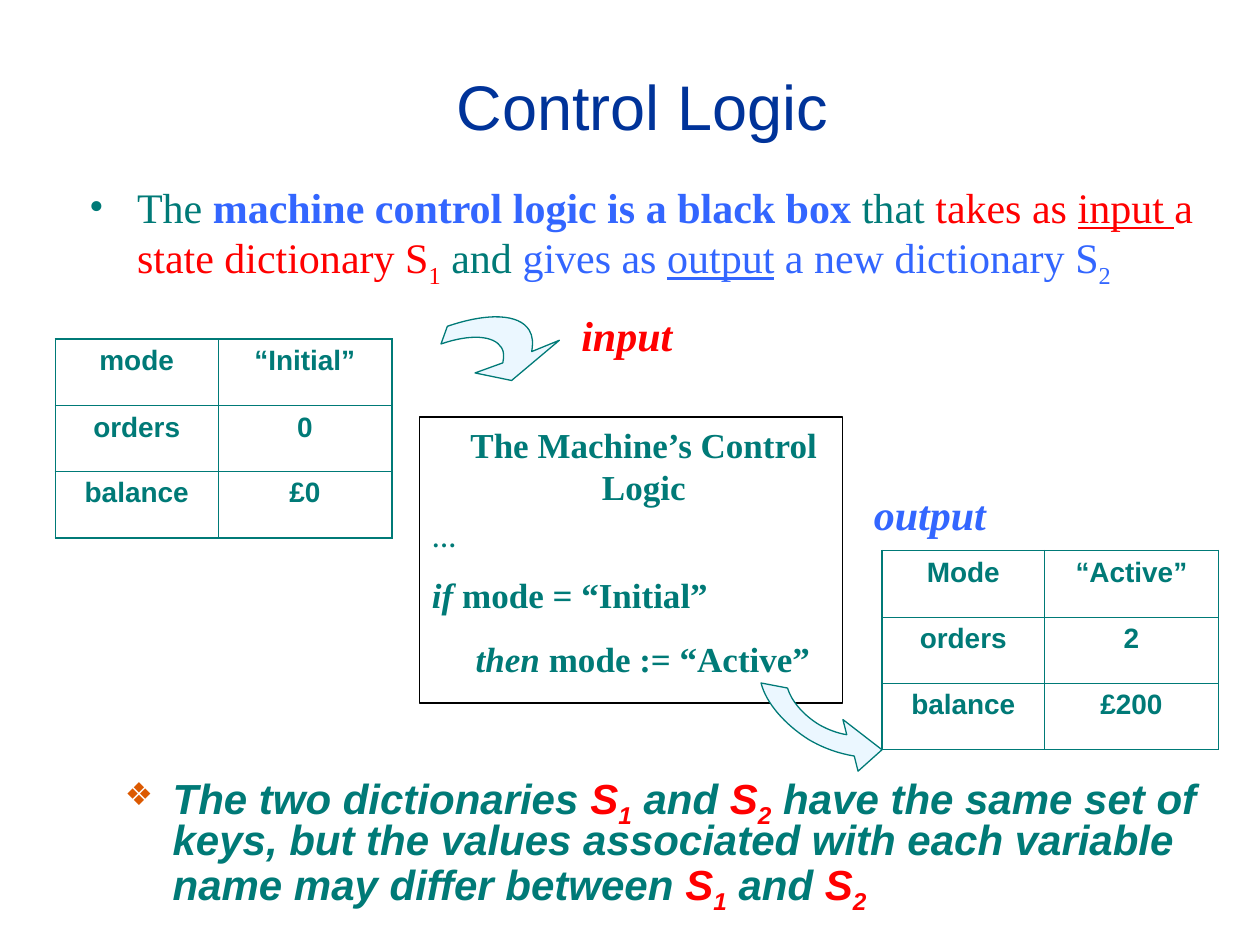
from math import cos, radians, sin
from lxml.etree import SubElement
from pptx import Presentation
from pptx.dml.color import RGBColor
from pptx.enum.shapes import MSO_SHAPE
from pptx.enum.text import MSO_ANCHOR, MSO_AUTO_SIZE, PP_ALIGN
from pptx.oxml.ns import qn
from pptx.util import Inches, Pt

COLORS = {"navy": "003399", "teal": "007A77", "red": "FF0000", "blue": "3366FF",
          "orange": "DC5900", "pale": "EBF7FF", "black": "000000", "white": "FFFFFF"}
SERIF, SANS = "Times New Roman", "Arial"

# Runs are (text, format); a format lists only what differs from the paragraph.
RED, BLUE = {"color": "red"}, {"color": "blue"}
SUB, LINE, ITALIC = {"sub": True}, {"underline": True}, {"italic": True}
S1 = [("S", RED), ("1", RED | SUB)]
S2 = [("S", RED), ("2", RED | SUB)]

INTRO = [("The", {}), (" machine control logic is a black box", BLUE | {"bold": True}),
         (" that ", {}), ("takes as ", RED), ("input ", RED | LINE),
         ("a state dictionary S", RED), ("1", RED | SUB), (" and ", {}),
         ("gives as ", BLUE), ("output", BLUE | LINE), (" a new dictionary S", BLUE),
         ("2", BLUE | SUB)]
SUMMARY = [("The two dictionaries ", {}), *S1, (" and ", {}), *S2,
           (" have the same set of keys, but the values associated with each "
            "variable name may differ between ", {}), *S1, (" and ", {}), *S2]
LOGIC = [  # runs, size, space before, alignment
    ([("The Machine’s Control Logic", {})], 20, 0, PP_ALIGN.CENTER),
    ([("…", {})], 14, 8.8, PP_ALIGN.LEFT),
    ([("if", ITALIC), (" mode = “Initial”", {})], 20, 12.5, PP_ALIGN.LEFT),
    ([("     then", ITALIC), (" mode := “Active”", {})], 20, 12.5, PP_ALIGN.LEFT),
]
DICTIONARIES = [  # left, top, rows
    (0.44, 2.69, [("mode", "“Initial”"), ("orders", "0"), ("balance", "£0")]),
    (7, 4.37, [("Mode", "“Active”"), ("orders", "2"), ("balance", "£200")]),
]
COL_WIDTHS, ROW_HEIGHTS = (1.29, 1.38), (0.53, 0.52, 0.53)
LABELS = [("input", "red", (4.13, 2.41, 1.69, 0.5)),
          ("output", "blue", (6.5, 3.83, 1.76, 0.5))]
# Frame, rotation and outline as it lies on the slide:
# a pair of numbers is a corner, six numbers are a Bézier curve.
ARROWS = [
    ((2.34, 2.73, 2, 0.81), 149.1,
     [(3.99, 2.88), (4, 2.83, 4, 2.79, 3.98, 2.76), (3.92, 2.66, 3.73, 2.65, 3.5, 2.73),
      (3.55, 2.59), (3.87, 2.48, 4.12, 2.49, 4.2, 2.62), (4.23, 2.67, 4.23, 2.72, 4.22, 2.79),
      (4.44, 2.7), (4.06, 3.02), (3.77, 2.96)]),
    ((5.98, 5.13, 1.3, 0.8), 210.9,
     [(6.72, 5.83), (6.65, 5.82, 6.57, 5.79, 6.5, 5.75), (6.37, 5.67, 6.28, 5.56, 6.25, 5.46),
      (6.04, 5.42), (6.08, 5.58, 6.23, 5.75, 6.42, 5.87), (6.54, 5.94, 6.66, 5.98, 6.78, 6),
      (6.81, 6.12), (7, 5.95), (6.69, 5.71)]),
]


def rgb(name):
    return RGBColor.from_string(COLORS[name])


def place(sp, left, top, width, height):
    sp.left, sp.top = Inches(left), Inches(top)
    sp.width, sp.height = Inches(width), Inches(height)


def write(p, runs, size, font=SANS, align=PP_ALIGN.LEFT, before=0, spacing=None,
          bullet=None, **base):
    """Fill a paragraph; bullet is (character, colour, percent of text size)."""
    if bullet:
        char, color, percent = bullet
        pPr = p._p.get_or_add_pPr()
        pPr.set("marL", str(Inches(0.38)))
        pPr.set("indent", str(-Inches(0.38)))
        SubElement(SubElement(pPr, qn("a:buClr")), qn("a:srgbClr")).set("val", COLORS[color])
        SubElement(pPr, qn("a:buSzPct")).set("val", str(percent * 1000))
        SubElement(pPr, qn("a:buFont")).set("typeface", font)
        SubElement(pPr, qn("a:buChar")).set("char", char)
    p.alignment, p.space_before = align, Pt(before)
    if spacing:
        p.line_spacing = spacing
    for text, changes in runs:
        fmt = {"color": "teal"} | base | changes
        r = p.add_run()
        r.text = text
        r.font.name, r.font.size = font, Pt(size)
        r.font.color.rgb = rgb(fmt["color"])
        r.font.bold = fmt.get("bold", False)
        r.font.italic = fmt.get("italic", False)
        r.font.underline = fmt.get("underline", False)
        if fmt.get("sub"):
            r.font._element.set("baseline", "-25000")


def add_box(slide, *box):
    tf = slide.shapes.add_textbox(*map(Inches, box)).text_frame
    tf.word_wrap = True
    return tf


def style(sp, fill, line):
    sp.shadow.inherit = False
    sp.fill.solid()
    sp.fill.fore_color.rgb = rgb(fill)
    sp.line.color.rgb = rgb(line)
    sp.line.width = Pt(0.75)


def add_border(cell, side, width):
    ln = SubElement(cell._tc.get_or_add_tcPr(), qn(f"a:ln{side}"), w=str(Pt(width)))
    SubElement(SubElement(ln, qn("a:solidFill")), qn("a:srgbClr")).set("val", COLORS["teal"])


def add_dictionary(slide, left, top, rows):
    n_rows, n_cols = len(rows), len(COL_WIDTHS)
    frame = slide.shapes.add_table(n_rows, n_cols, Inches(left), Inches(top),
                                   Inches(sum(COL_WIDTHS)), Inches(sum(ROW_HEIGHTS)))
    table = frame.table
    table.first_row = table.horz_banding = False
    for col, width in zip(table.columns, COL_WIDTHS):
        col.width = Inches(width)
    for i, row in enumerate(rows):
        table.rows[i].height = Inches(ROW_HEIGHTS[i])
        for j, text in enumerate(row):
            cell = table.cell(i, j)
            cell.margin_left = cell.margin_right = Inches(0.02)
            outer = {"L": j == 0, "R": j == n_cols - 1, "T": i == 0, "B": i == n_rows - 1}
            for side, is_outer in outer.items():
                add_border(cell, side, 1.08 if is_outer else 0.45)
            cell.fill.background()
            write(cell.text_frame.paragraphs[0], [(text, {})], 16,
                  align=PP_ALIGN.CENTER, bold=True)


def add_arrow(slide, box, rotation, outline):
    """Add a rotated outline, turning its points back into the unrotated frame."""
    left, top, width, height = box
    c, s = cos(radians(rotation)), sin(radians(rotation))

    def to_frame(x, y):
        dx, dy = x - left - width / 2, y - top - height / 2
        return Inches(width / 2 + dx * c + dy * s), Inches(height / 2 - dx * s + dy * c)

    start, *rest = [to_frame(*part[-2:]) for part in outline]
    builder = slide.shapes.build_freeform(*start)
    builder.add_line_segments(rest, close=True)
    sp = builder.convert_to_shape()
    place(sp, *box)
    sp.rotation = rotation
    style(sp, "pale", "teal")

    path = next(sp._element.iter(qn("a:path")))
    path.set("w", str(Inches(width)))
    path.set("h", str(Inches(height)))
    for child in list(path):
        path.remove(child)
    for i, part in enumerate(outline):
        tag = "a:moveTo" if i == 0 else "a:lnTo" if len(part) == 2 else "a:cubicBezTo"
        step = SubElement(path, qn(tag))
        for x, y in zip(part[::2], part[1::2]):
            px, py = to_frame(x, y)
            SubElement(step, qn("a:pt"), x=str(px), y=str(py))
    SubElement(path, qn("a:close"))


def main():
    prs = Presentation()
    prs.slide_width, prs.slide_height = Inches(10), Inches(7.5)
    slide = prs.slides.add_slide(prs.slide_layouts[1])
    title, body = slide.placeholders

    place(title, 0.43, 0.21, 9.34, 1.25)
    title.text_frame.vertical_anchor = MSO_ANCHOR.MIDDLE
    write(title.text_frame.paragraphs[0], [("Control Logic", {})], 36,
          align=PP_ALIGN.CENTER, color="navy")

    place(body, 0.89, 6.12, 8.78, 1.25)
    body.text_frame.auto_size = MSO_AUTO_SIZE.NONE
    write(body.text_frame.paragraphs[0], SUMMARY, 24, spacing=0.8,
          bullet=("❖", "orange", 75), bold=True, italic=True)

    machine = slide.shapes.add_shape(MSO_SHAPE.RECTANGLE,
                                     *map(Inches, (3.33, 3.31, 3.36, 2.27)))
    style(machine, "white", "black")
    tf = add_box(slide, 3.33, 3.31, 3.56, 2.14)
    for i, (runs, size, before, align) in enumerate(LOGIC):
        p = tf.add_paragraph() if i else tf.paragraphs[0]
        write(p, runs, size, SERIF, align, before, bold=True)

    for dictionary in DICTIONARIES:
        add_dictionary(slide, *dictionary)
    for arrow in ARROWS:
        add_arrow(slide, *arrow)
    for text, color, box in LABELS:
        write(add_box(slide, *box).paragraphs[0], [(text, {})], 24, SERIF,
              PP_ALIGN.CENTER, color=color, bold=True, italic=True)

    intro = add_box(slide, 0.61, 1.39, 9.06, 1.06)
    write(intro.paragraphs[0], INTRO, 24, SERIF, bullet=("•", "teal", 100))

    prs.save("out.pptx")


if __name__ == "__main__":
    main()
